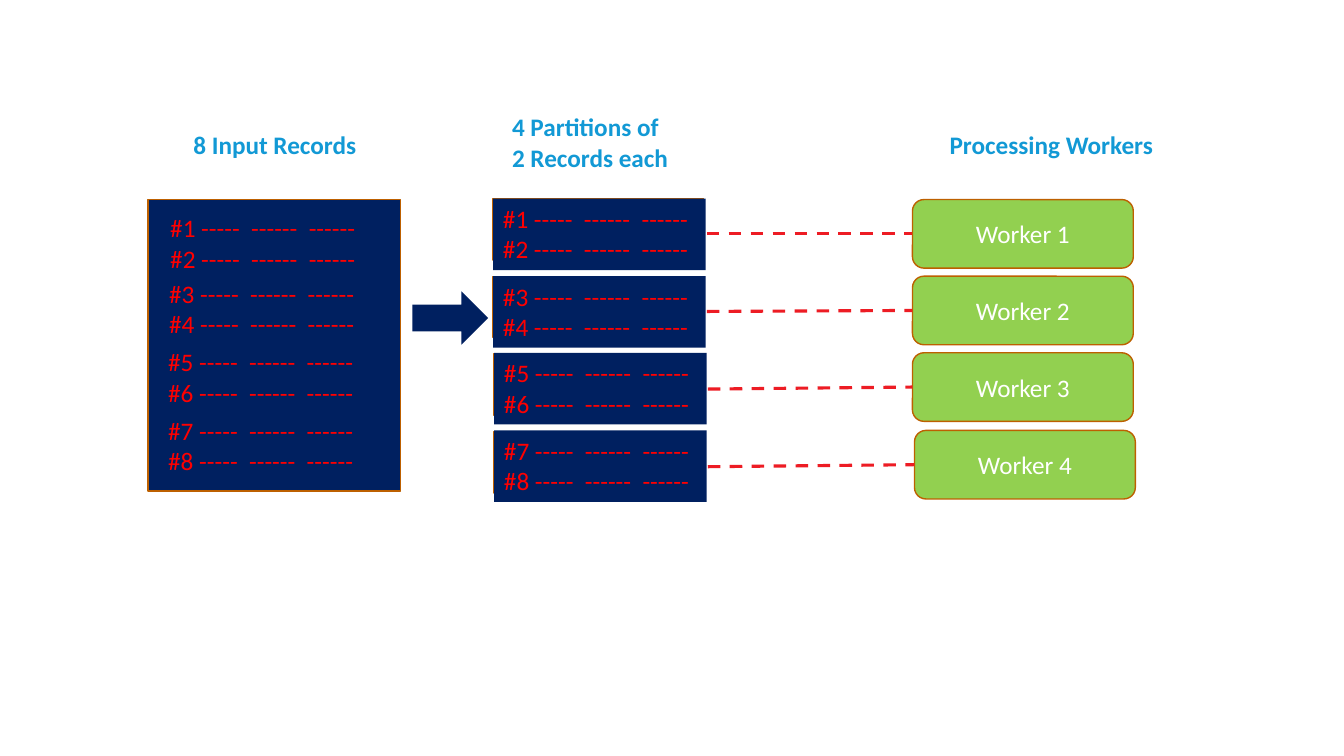
import pptx
import pptx.util
import pptx.dml.color
import pptx.enum.dml
import pptx.enum.shapes
import pptx.enum.text
from pptx.util import Inches

RGBColor = pptx.dml.color.RGBColor
NAVY = RGBColor(0x00, 0x20, 0x60)
GREEN = RGBColor(0x92, 0xD0, 0x50)
BROWN = RGBColor(0xBD, 0x60, 0x00)
CRIMSON = RGBColor(0xED, 0x1C, 0x24)
RED = RGBColor(0xFF, 0x00, 0x00)
BLUE = RGBColor(0x12, 0x99, 0xD5)
WHITE = RGBColor(0xFF, 0xFF, 0xFF)

SHAPE = pptx.enum.shapes.MSO_SHAPE
ALIGN = pptx.enum.text.PP_ALIGN
ANCHOR = pptx.enum.text.MSO_ANCHOR


def add_block(shapes, kind, left, top, width, height, fill, outlined=False):
    block = shapes.add_shape(kind, Inches(left), Inches(top), Inches(width), Inches(height))
    block.shadow.inherit = False
    block.fill.solid()
    block.fill.fore_color.rgb = fill
    if outlined:
        block.line.color.rgb = BROWN
        block.line.width = pptx.util.Pt(1)
    else:
        block.line.fill.background()
    return block


def write_lines(box, lines, color, bold=False, align=ALIGN.LEFT, anchor=ANCHOR.TOP, wrap=True):
    frame = box.text_frame
    frame.word_wrap = wrap
    frame.vertical_anchor = anchor
    frame.text = "\n".join(lines)
    for para in frame.paragraphs:
        para.alignment = align
        para.font.name = "Calibri"
        para.font.size = pptx.util.Pt(18)
        para.font.bold = bold
        para.font.color.rgb = color


deck = pptx.Presentation()
deck.slide_width = Inches(13.33)
deck.slide_height = Inches(7.5)
page = deck.slides.add_slide(deck.slide_layouts[6])

headings = [
    (1.82, 1.23, 1.83, 0.4, ["8 Input Records"]),
    (4.98, 1.06, 1.75, 0.71, ["4 Partitions of", "2 Records each"]),
    (9.32, 1.23, 2.23, 0.4, ["Processing Workers"]),
]
for left, top, width, height, lines in headings:
    heading = page.shapes.add_textbox(Inches(left), Inches(top), Inches(width), Inches(height))
    write_lines(heading, lines, BLUE, bold=True, wrap=False)

input_group = page.shapes.add_group_shape()
add_block(input_group.shapes, SHAPE.RECTANGLE, 1.47, 1.98, 2.5, 2.89, NAVY, outlined=True)
add_block(page.shapes, SHAPE.RIGHT_ARROW, 4.09, 2.89, 0.75, 0.53, NAVY)

rows = [
    ((1.59, 2.06), (4.89, 1.97), (9.05, 1.98), (2.32, 2.32)),
    ((1.58, 2.71), (4.89, 2.74), (9.05, 2.74), (3.09, 3.08)),
    ((1.57, 3.39), (4.9, 3.5), (9.05, 3.5), (3.86, 3.84)),
    ((1.57, 4.07), (4.9, 4.27), (9.07, 4.27), (4.63, 4.61)),
]
for index, (record_at, partition_at, worker_at, link_heights) in enumerate(rows):
    records = [f"#{2 * index + step} -----  ------  ------" for step in (1, 2)]

    record_box = add_block(input_group.shapes, SHAPE.RECTANGLE, *record_at, 2.34, 0.68, NAVY)
    write_lines(record_box, records, RED)

    add_block(page.shapes, SHAPE.RECTANGLE, partition_at[0], 1.97 + 0.77 * index,
              2.09, 0.61, NAVY, outlined=True)
    partition = add_block(page.shapes, SHAPE.RECTANGLE, *partition_at, 2.11, 0.71, NAVY)
    write_lines(partition, records, RED)

    worker = add_block(page.shapes, SHAPE.ROUNDED_RECTANGLE, *worker_at, 2.19, 0.68,
                       GREEN, outlined=True)
    write_lines(worker, [f"Worker {index + 1}"], WHITE, align=ALIGN.CENTER, anchor=ANCHOR.MIDDLE)

    link = page.shapes.add_connector(
        pptx.enum.shapes.MSO_CONNECTOR.STRAIGHT,
        Inches(partition_at[0] + 2.12), Inches(link_heights[0]),
        Inches(worker_at[0]), Inches(link_heights[1]))
    link.line.color.rgb = CRIMSON
    link.line.width = pptx.util.Pt(2.25)
    link.line.dash_style = pptx.enum.dml.MSO_LINE.DASH
    link._element.spPr.get_or_add_ln().addnext(
        pptx.oxml.parse_xml(
            '<a:effectLst xmlns:a="http://schemas.openxmlformats.org/drawingml/2006/main"/>'))

deck.save("out.pptx")
